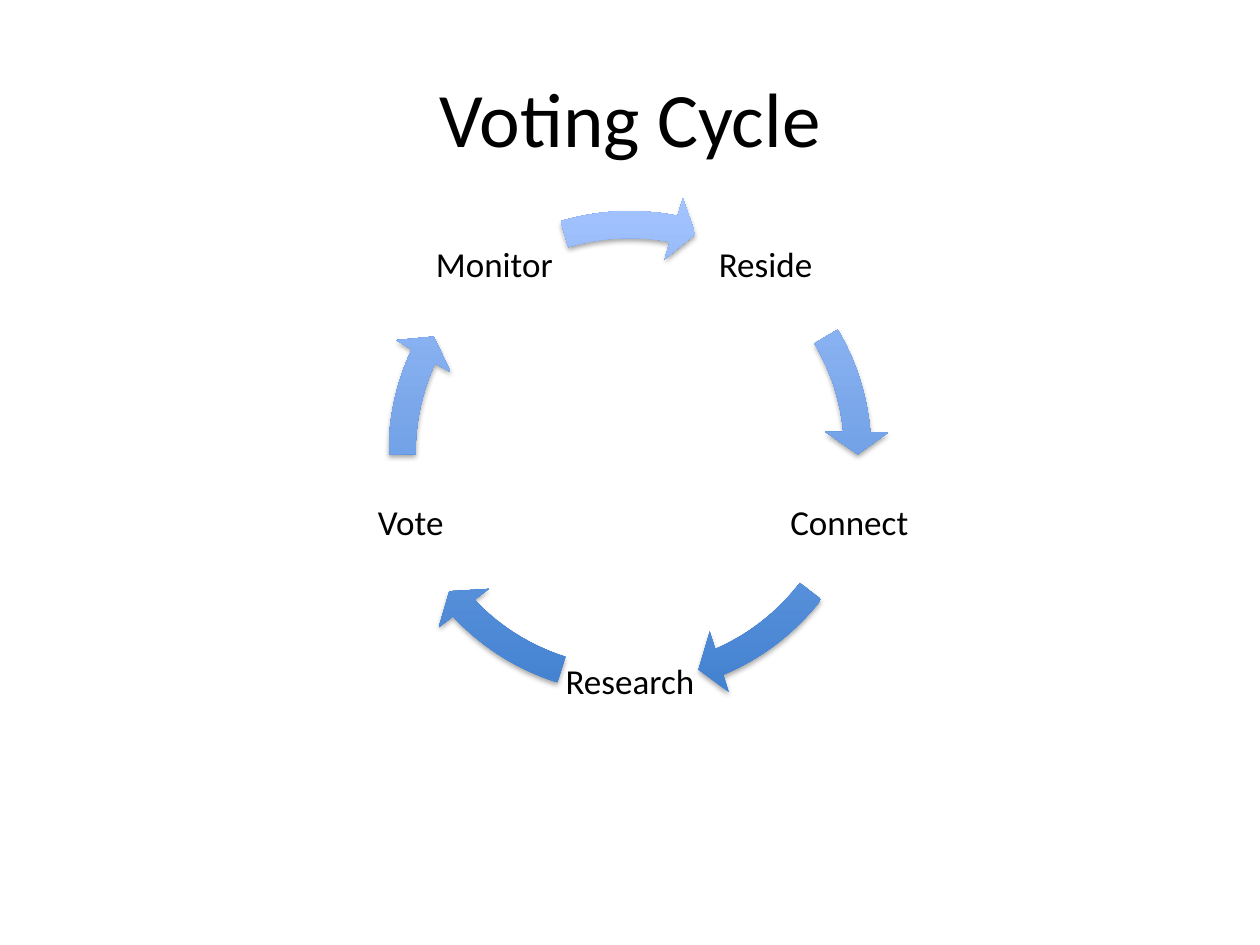
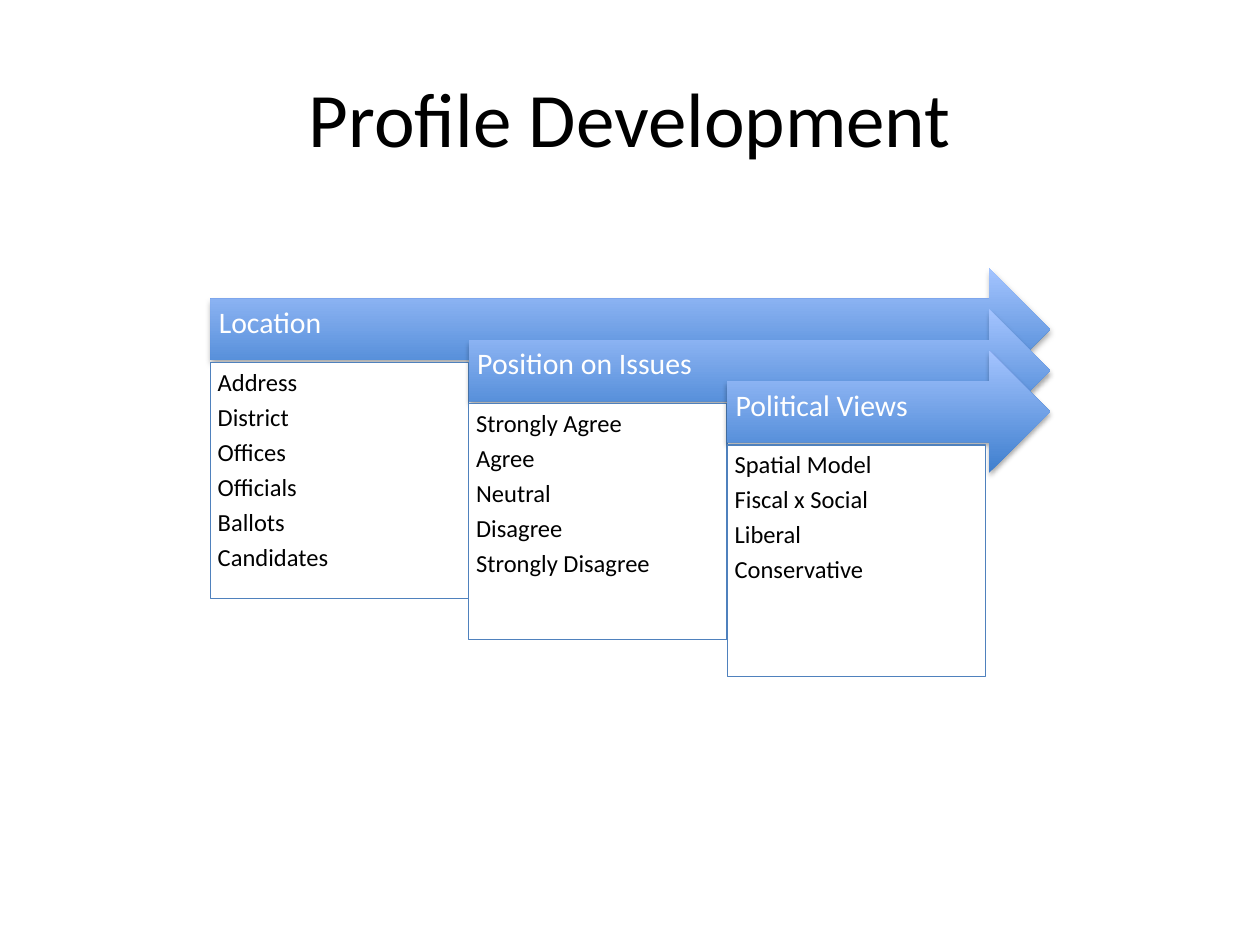
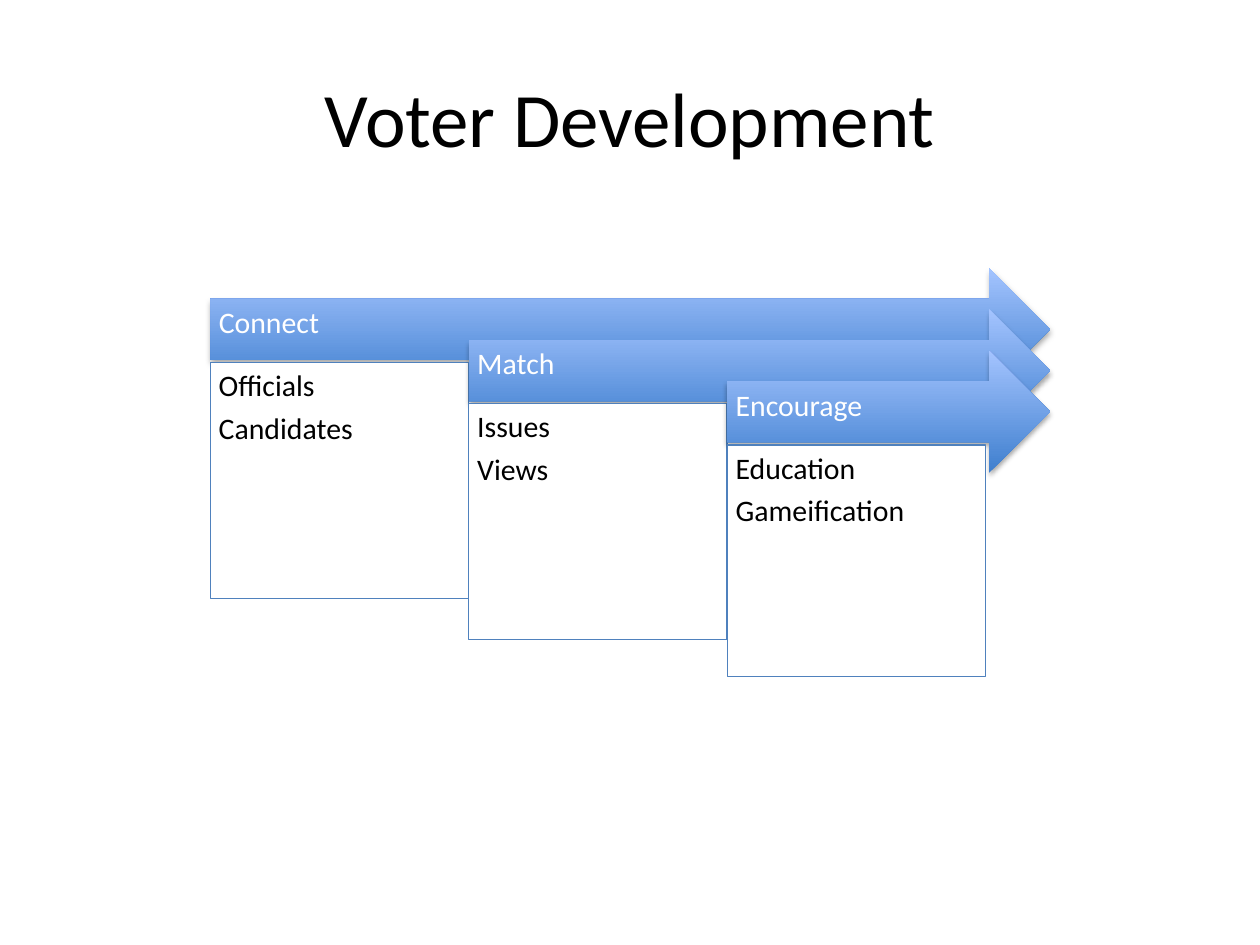
from math import cos, radians, sin

from lxml.etree import SubElement
from pptx import Presentation
from pptx.dml.color import RGBColor
from pptx.enum.shapes import MSO_SHAPE as Preset
from pptx.enum.text import MSO_ANCHOR as Anchor, PP_ALIGN as Align
from pptx.oxml.ns import qn
from pptx.util import Cm, Pt

# Shared style
FONT = "Calibri"
BLACK, WHITE, BORDER = "000000", "FFFFFF", "4F81BD"
GRADIENT = ("3F7FCE", "A4C4FF")  # bottom, top
TITLE_AREA = (1.27, 0.76, 22.86, 3.18)
TITLE = dict(size=44, align=Align.CENTER, anchor=Anchor.MIDDLE)
TIGHT = dict(line=0.9, after=35)
NODE = dict(TIGHT, size=20, align=Align.CENTER, anchor=Anchor.MIDDLE, insets=(0.07,) * 4)
HEADING = dict(TIGHT, size=17, color=WHITE, anchor=Anchor.MIDDLE,
               insets=(0.17, 0.17, 0.71, 0.38))


def rgb(code):
    return RGBColor.from_string(code)


def cm(*lengths):
    return [Cm(length) for length in lengths]


class Deck:
    """Keeps the presentation and the slide being built."""

    def __init__(self):
        self.deck = Presentation()
        self.deck.slide_width, self.deck.slide_height = cm(25.4, 19.05)
        self.group = None

    def page(self, title):
        page = self.deck.slides.add_slide(self.deck.slide_layouts[5])
        box = page.shapes.title
        box.left, box.top, box.width, box.height = cm(*TITLE_AREA)
        self.fill_text(box, [title], **TITLE)
        self.group = page.shapes.add_group_shape().shapes

    def fill_text(self, box, lines, size, color=BLACK, align=Align.LEFT,
                  anchor=Anchor.TOP, insets=None, line=None, after=None):
        frame = box.text_frame
        settings = dict(word_wrap=True, vertical_anchor=anchor)
        if insets:
            sides = ("margin_left", "margin_top", "margin_right", "margin_bottom")
            settings.update(zip(sides, cm(*insets)))
        for name, value in settings.items():
            setattr(frame, name, value)
        for number, words in enumerate(lines):
            para = frame.add_paragraph() if number else frame.paragraphs[0]
            para.alignment = align
            if line:
                para.line_spacing = line
            if after:  # space after, in percent of the line
                space = SubElement(para._p.get_or_add_pPr(), qn("a:spcAft"))
                SubElement(space, qn("a:spcPct"), val=str(after * 1000))
            span = para.add_run()
            span.text = words
            for name, value in dict(name=FONT, size=Pt(size)).items():
                setattr(span.font, name, value)
            span.font.color.rgb = rgb(color)

    def text(self, area, lines, **style):
        self.fill_text(self.group.add_textbox(*cm(*area)), lines, **style)

    def arrow(self, preset, area, adjustments):
        shape = self.group.add_shape(preset, *cm(*area))
        for number, value in enumerate(adjustments):
            shape.adjustments[number] = value
        shape.fill.gradient()
        shape.fill.gradient_angle = 90
        for stop, color in zip(shape.fill.gradient_stops, GRADIENT):
            stop.color.rgb = rgb(color)
        shape.line.fill.background()
        # Soft shadow below the arrow
        effects = SubElement(shape._element.spPr, qn("a:effectLst"))
        shadow = SubElement(effects, qn("a:outerShdw"), blurRad=str(Pt(3.1)),
                            dist=str(Pt(1.8)), dir="5400000", rotWithShape="0")
        tint = SubElement(shadow, qn("a:srgbClr"), val=BLACK)
        SubElement(tint, qn("a:alpha"), val="35000")

    def panel(self, area, lines, size):
        shape = self.group.add_shape(Preset.RECTANGLE, *cm(*area))
        shape.shadow.inherit = False
        shape.fill.solid()
        shape.fill.fore_color.rgb = rgb(WHITE)
        shape.line.color.rgb = rgb(BORDER)
        shape.line.width = Pt(0.75)
        inset = 0.15 if size < 17 else 0.17
        self.text(area, lines, size=size, insets=(inset,) * 4, **TIGHT)

    def cycle(self, steps):
        """Labels evenly round a circle, each followed by a curved arrow."""
        center_x, center_y, radius, side, ring = 12.7, 9.12, 4.65, 2.79, 10.46
        ring_area = (center_x - ring / 2, center_y - ring / 2, ring, ring)
        for number, (label, start, end) in enumerate(steps):
            angle = radians(-54 + number * 360 / len(steps))
            left = center_x + radius * cos(angle) - side / 2
            top = center_y + radius * sin(angle) - side / 2
            self.text((left, top, side, side), [label], **NODE)
            # Angles count in 0.6 units per degree
            self.arrow(Preset.CIRCULAR_ARROW, ring_area,
                       (0.052, 3.36, end * 0.6, start * 0.6, 0.061))

    def stages(self, columns, size):
        """Stepped arrows with one shared right end, a panel under each."""
        right, height, width = 21.17, 2.46, 5.21
        for number, (heading, lines) in enumerate(columns):
            left, top = 4.24 + number * width, 5.41 + number * 0.83
            length, quarter = right - left, height / 4
            self.arrow(Preset.RIGHT_ARROW, (left, top, length, height), (0.5, 0.5))
            self.text((left, top + quarter, length - quarter, height / 2),
                      [heading], **HEADING)
            depth = 4.67 if number == len(columns) - 1 else 4.75
            self.panel((left, top + 1.9, width, depth), lines, size)


show = Deck()

# Voting cycle: label, start and end angle of the arrow after it
show.page("Voting Cycle")
show.cycle([
    ("Reside", 329.44, 354.88),
    ("Connect", 37.56, 66.9),
    ("Research", 107.5, 136.84),
    ("Vote", 179.52, 204.96),
    ("Monitor", 253.31, 281.09),
])

# Profile development
show.page("Profile Development")
show.stages([
    ("Location", ["Address", "District", "Offices", "Officials", "Ballots", "Candidates"]),
    ("Position on Issues",
     ["Strongly Agree", "Agree", "Neutral", "Disagree", "Strongly Disagree"]),
    ("Political Views", ["Spatial Model", "Fiscal x Social", "Liberal", "Conservative"]),
], size=14)

# Voter development
show.page("Voter Development")
show.stages([
    ("Connect", ["Officials", "Candidates"]),
    ("Match", ["Issues", "Views"]),
    ("Encourage", ["Education", "Gameification"]),
], size=17)

show.deck.save("out.pptx")
